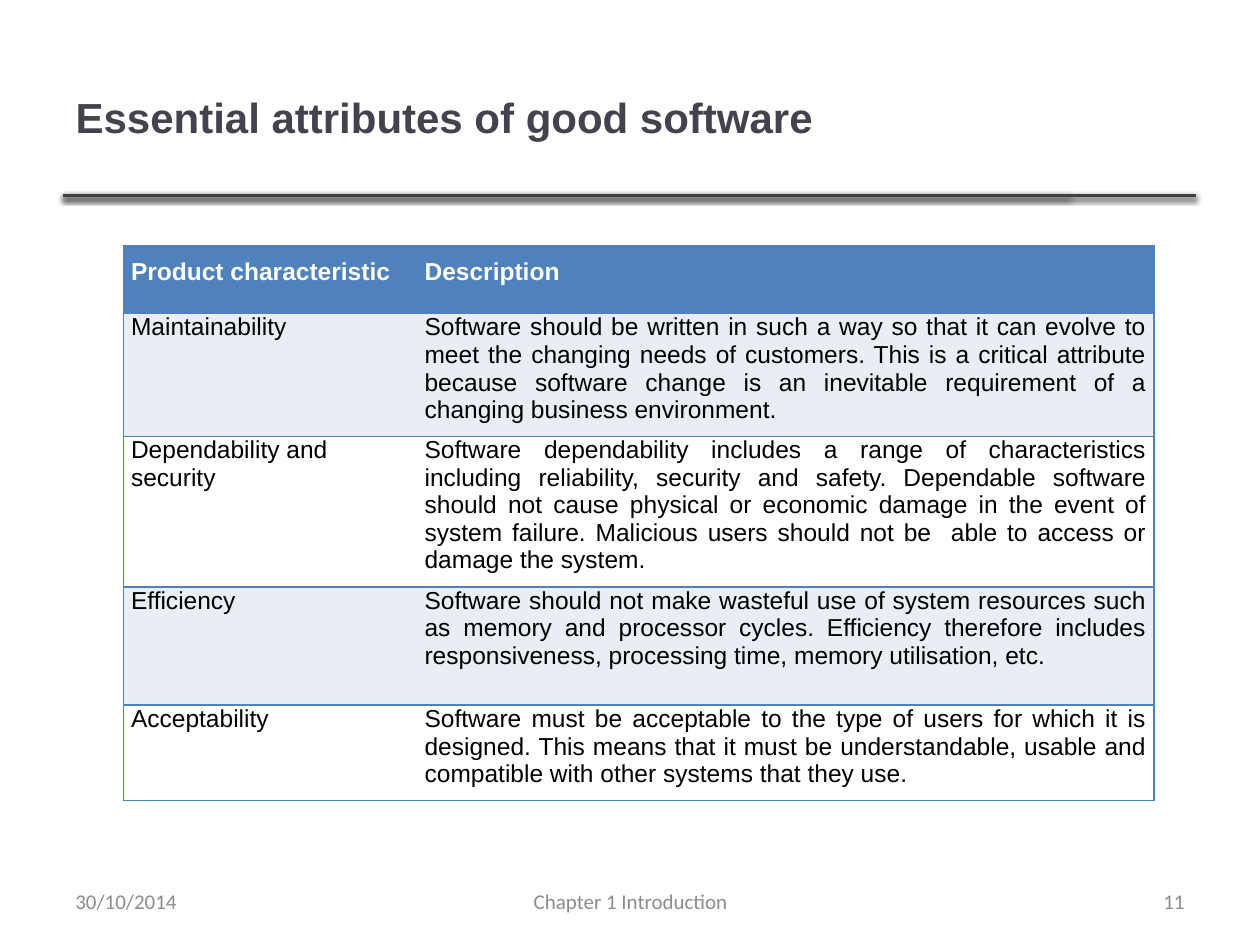
from lxml import etree
from pptx import Presentation
from pptx.dml.color import RGBColor
from pptx.enum.shapes import MSO_CONNECTOR
from pptx.enum.text import MSO_ANCHOR, PP_ALIGN
from pptx.oxml.ns import qn
from pptx.util import Inches, Pt

LEFT, CENTER, RIGHT, JUSTIFY = PP_ALIGN.LEFT, PP_ALIGN.CENTER, PP_ALIGN.RIGHT, PP_ALIGN.JUSTIFY
MIDDLE = MSO_ANCHOR.MIDDLE
STRAIGHT = MSO_CONNECTOR.STRAIGHT

WHITE = RGBColor(0xFF, 0xFF, 0xFF)
BLACK = RGBColor(0x00, 0x00, 0x00)
BLUE = RGBColor(0x4F, 0x81, 0xBD)
PALE_BLUE = RGBColor(0xE9, 0xED, 0xF4)
TITLE_GRAY = RGBColor(0x46, 0x42, 0x4D)
RULE_GRAY = RGBColor(0x40, 0x40, 0x40)
FOOTER_GRAY = RGBColor(0x8C, 0x8C, 0x8C)

TITLE_ONLY = 5
COLUMN_WIDTHS = (2.33, 5.85)
ROW_HEIGHTS = (0.54, 0.94, 1.14, 0.94, 0.74)
ATTRIBUTES = [
    ("Product characteristic", "Description"),
    ("Maintainability",
     "Software should be written in such a way so that it can evolve to meet the "
     "changing needs of customers. This is a critical attribute because software "
     "change is an inevitable requirement of a changing business environment."),
    ("Dependability and security",
     "Software dependability includes a range of characteristics including "
     "reliability, security and safety. Dependable software should not cause "
     "physical or economic damage in the event of system failure. Malicious users "
     "should not be  able to access or damage the system."),
    ("Efficiency",
     "Software should not make wasteful use of system resources such as memory and "
     "processor cycles. Efficiency therefore includes responsiveness, processing "
     "time, memory utilisation, etc."),
    ("Acceptability",
     "Software must be acceptable to the type of users for which it is designed. "
     "This means that it must be understandable, usable and compatible with other "
     "systems that they use."),
]


class SlideBuilder:
    def __init__(self, slide, heading_font="Arial", footer_font="Calibri"):
        self.slide = slide
        self.heading_font = heading_font
        self.footer_font = footer_font

    def set_text(self, frame, text, font, size, color, bold=False, align=LEFT):
        frame.text = text
        frame.word_wrap = True
        para = frame.paragraphs[0]
        para.alignment = align
        span = para.runs[0]
        span.font.name = font
        span.font.size = Pt(size)
        span.font.bold = bold
        span.font.color.rgb = color

    def title(self, text, left, top, width, height):
        title = self.slide.shapes.title
        title.left, title.top = Inches(left), Inches(top)
        title.width, title.height = Inches(width), Inches(height)
        self.set_text(title.text_frame, text, self.heading_font, 24, TITLE_GRAY, bold=True)
        title.text_frame.vertical_anchor = MIDDLE

    def rule(self, left, right, y):
        """Draw a horizontal line with a soft shadow below it."""
        connector = self.slide.shapes.add_connector(
            STRAIGHT, Inches(left), Inches(y), Inches(right), Inches(y))
        connector.line.color.rgb = RULE_GRAY
        connector.line.width = Pt(2)
        effects = etree.SubElement(connector.element.spPr, qn("a:effectLst"))
        shadow = etree.SubElement(
            effects, qn("a:outerShdw"), blurRad=str(Pt(3.1)), dist=str(Pt(1.6)),
            dir="5400000", rotWithShape="0")
        color = etree.SubElement(shadow, qn("a:srgbClr"), val=str(BLACK))
        etree.SubElement(color, qn("a:alpha"), val="38000")

    def borders(self, cell, open_side):
        """Outline a cell in blue, leaving out the side it shares with its neighbour."""
        properties = cell._tc.get_or_add_tcPr()
        for side in ("lnL", "lnR", "lnT", "lnB"):
            border = etree.SubElement(properties, qn(f"a:{side}"), w=str(Pt(1)))
            if side == open_side:
                etree.SubElement(border, qn("a:noFill"))
            else:
                fill = etree.SubElement(border, qn("a:solidFill"))
                etree.SubElement(fill, qn("a:srgbClr"), val=str(BLUE))

    def table(self, rows, left, top):
        table = self.slide.shapes.add_table(
            len(rows), len(COLUMN_WIDTHS), Inches(left), Inches(top),
            Inches(sum(COLUMN_WIDTHS)), Inches(sum(ROW_HEIGHTS))).table
        table.first_row = table.horz_banding = False
        for column, width in zip(table.columns, COLUMN_WIDTHS):
            column.width = Inches(width)
        for row_index, (texts, height) in enumerate(zip(rows, ROW_HEIGHTS)):
            table.rows[row_index].height = Inches(height)
            header = row_index == 0
            fill = BLUE if header else PALE_BLUE if row_index % 2 else WHITE
            for column_index, text in enumerate(texts):
                cell = table.cell(row_index, column_index)
                cell.margin_left = cell.margin_right = Inches(0.06)
                cell.margin_top = Inches(0.1 if header else 0)
                cell.margin_bottom = Inches(0.1)
                self.borders(cell, "lnL" if column_index else "lnR")
                cell.fill.solid()
                cell.fill.fore_color.rgb = fill
                align = LEFT if text == "Dependability and security" else JUSTIFY
                self.set_text(cell.text_frame, text, self.heading_font, 14,
                              WHITE if header else BLACK, bold=header, align=align)

    def footer(self, text, left, width, align):
        box = self.slide.shapes.add_textbox(
            Inches(left), Inches(6.95), Inches(width), Inches(0.4))
        self.set_text(box.text_frame, text, self.footer_font, 12, FOOTER_GRAY, align=align)
        box.text_frame.vertical_anchor = MIDDLE


def main():
    deck = Presentation()
    deck.slide_width, deck.slide_height = Inches(10), Inches(7.5)
    page = SlideBuilder(deck.slides.add_slide(deck.slide_layouts[TITLE_ONLY]))
    for right in (8.49, 9.49, 9.49):
        page.rule(0.5, right, 1.55)
    page.title("Essential attributes of good software", 0.5, 0.3, 7.98, 1.25)
    page.table(ATTRIBUTES, 0.98, 1.95)
    page.footer("Chapter 1 Introduction", 3.42, 3.17, CENTER)
    page.footer("30/10/2014", 0.5, 2.33, LEFT)
    page.footer("11", 7.17, 2.33, RIGHT)
    deck.save("out.pptx")


if __name__ == "__main__":
    main()
